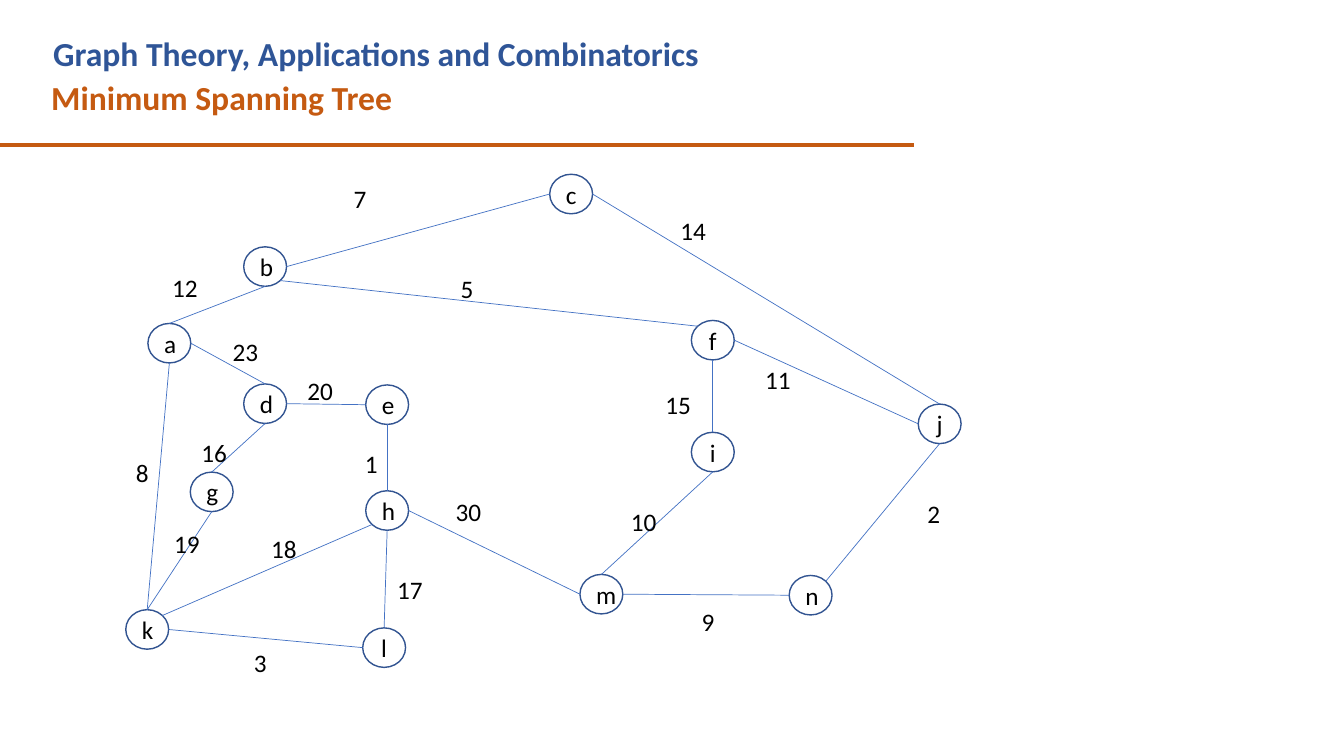
from math import cos, radians, sin

from lxml.etree import SubElement
from pptx import Presentation
from pptx.dml.color import RGBColor
from pptx.enum.shapes import MSO_CONNECTOR, MSO_SHAPE
from pptx.enum.text import MSO_ANCHOR, MSO_AUTO_SIZE, PP_ALIGN
from pptx.oxml.ns import qn
from pptx.util import Inches, Pt

FONT = "Calibri"
ORANGE, NAVY, BLUE, OUTLINE, BLACK = "C55A11", "2F5597", "4472C4", "325491", "000000"
CELLS_PER_INCH = 100
SLIDE_SIZE = (1333, 750)
NODE_SIZE = (42.5, 39.2)
LABEL_HEIGHT = 40

HEADINGS = [
    ("Minimum Spanning Tree", (41, 71, 875, 50), ORANGE),
    ("Graph Theory, Applications and Combinatorics", (43, 28, 820, 50), NAVY),
]
RULE = ((-1, 144), (907, 144))

NODE_CENTRES = {
    "a": (168, 340.5), "b": (263, 264.5), "c": (566.5, 192.5), "d": (263, 400.5),
    "g": (210, 488), "k": (146, 624.5), "e": (384, 401.5), "h": (384, 506.5),
    "l": (381, 642.5), "m": (596.5, 589.5), "n": (804, 590.5), "j": (932, 420.5),
    "f": (707, 337.5), "i": (707, 448.5),
}

COMPASS = {"E": 0, "SE": 45, "S": 90, "SW": 135, "W": 180, "NW": 225, "N": 270, "NE": 315}

# node, side, node, side, weight, (label left, top, width)
EDGES = [
    ("a", "N", "b", "S", 12, (161, 265, 59)),
    ("b", "E", "c", "W", 7, (341, 177, 84)),
    ("c", "E", "j", "N", 14, (665, 209, 105)),
    ("b", "SE", "f", "NW", 5, (447, 266, 59)),
    ("f", "S", "i", "N", 15, (650, 381, 57)),
    ("i", "S", "m", "N", 10, (616, 497, 60)),
    ("m", "E", "n", "W", 9, (686, 597, 73)),
    ("j", "S", "n", "NE", 2, (910, 489, 58)),
    ("k", "E", "l", "W", 3, (242, 637, 93)),
    ("k", "NE", "h", "SW", 18, (259, 524, 62)),
    ("h", "S", "l", "N", 17, (384, 565, 86)),
    ("k", "N", "g", "S", 19, (163, 519, 47)),
    ("g", "N", "d", "S", 16, (190, 429, 56)),
    ("a", "E", "d", "N", 23, (221, 329, 50)),
    ("a", "S", "k", "N", 8, (125, 449, 32)),
    ("d", "E", "e", "W", 20, (295, 367, 55)),
    ("e", "S", "h", "N", 1, (352, 440, 42)),
    ("h", "E", "m", "W", 30, (442, 487, 59)),
    ("f", "E", "j", "W", 11, (749, 357, 55)),
]


def color(value):
    return RGBColor.from_string(value)


def cells(values):
    return [Inches(value / CELLS_PER_INCH) for value in values]


def write(frame, words, size, ink, bold=False):
    frame.word_wrap = True
    run = frame.paragraphs[0].add_run()
    run.text = words
    run.font.name = FONT
    run.font.size = Pt(size)
    run.font.bold = bold
    run.font.color.rgb = color(ink)


def add_text(shapes, words, box, size, ink, bold=False):
    frame = shapes.add_textbox(*cells(box)).text_frame
    frame.auto_size = MSO_AUTO_SIZE.SHAPE_TO_FIT_TEXT
    write(frame, words, size, ink, bold)


def add_line(shapes, start, end, ink, width):
    line = shapes.add_connector(MSO_CONNECTOR.STRAIGHT, *cells(start + end))
    line.line.color.rgb = color(ink)
    line.line.width = Pt(width)
    SubElement(line._element.spPr, qn("a:effectLst"))


def add_node(shapes, letter):
    x, y = NODE_CENTRES[letter]
    width, height = NODE_SIZE
    node = shapes.add_shape(
        MSO_SHAPE.OVAL, *cells((x - width / 2, y - height / 2, width, height)))
    node.shadow.inherit = False
    node.fill.background()
    node.line.color.rgb = color(OUTLINE)
    node.line.width = Pt(1)
    node.text_frame.vertical_anchor = MSO_ANCHOR.MIDDLE
    write(node.text_frame, letter, 18, BLACK)
    node.text_frame.paragraphs[0].alignment = PP_ALIGN.CENTER


def rim(letter, side):
    x, y = NODE_CENTRES[letter]
    width, height = NODE_SIZE
    angle = radians(COMPASS[side])
    return x + width / 2 * cos(angle), y + height / 2 * sin(angle)


def main():
    """Build the weighted graph slide."""
    deck = Presentation()
    deck.slide_width, deck.slide_height = cells(SLIDE_SIZE)
    slide = deck.slides.add_slide(deck.slide_layouts[6])
    for words, box, ink in HEADINGS:
        add_text(slide.shapes, words, box, 24, ink, bold=True)
    add_line(slide.shapes, *RULE, ORANGE, 3)

    graph = slide.shapes.add_group_shape().shapes
    for letter in NODE_CENTRES:
        add_node(graph, letter)
    for first, leaving, second, entering, weight, (left, top, width) in EDGES:
        add_line(graph, rim(first, leaving), rim(second, entering), BLUE, 0.5)
        add_text(graph, str(weight), (left, top, width, LABEL_HEIGHT), 18, BLACK)
    deck.save("out.pptx")


if __name__ == "__main__":
    main()
